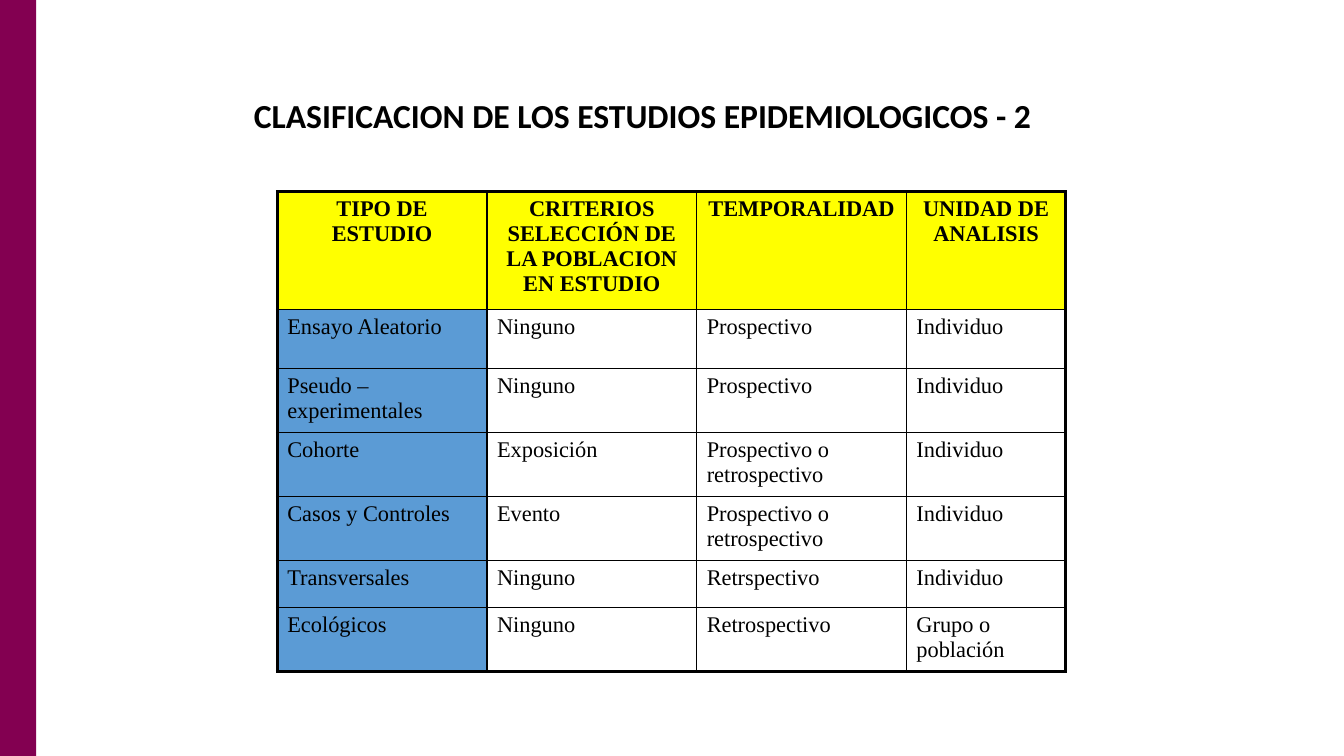
"""Builds a slide that classifies epidemiological studies in a table."""
from lxml.etree import SubElement
from pptx import Presentation
from pptx.dml.color import RGBColor
from pptx.enum.shapes import MSO_SHAPE
from pptx.enum.text import MSO_ANCHOR, PP_ALIGN
from pptx.oxml.ns import qn
from pptx.util import Inches, Pt

COLORS = {"band": "830051", "header": "FFFF00", "study": "5B9BD5", "ink": "000000"}
TITLE = "CLASIFICACION DE LOS ESTUDIOS EPIDEMIOLOGICOS - 2"
TITLE_FONT = {"name": "Calibri", "size": Pt(24), "bold": True}
HEADER_FONT = {"name": "Times New Roman", "size": Pt(16), "bold": True}
BODY_FONT = {**HEADER_FONT, "bold": False}
COLUMN_WIDTHS = [2.08, 2.08, 2.08, 1.58]
ROW_HEIGHTS = [1.17, 0.59, 0.63, 0.63, 0.63, 0.47, 0.63]
INNER_LINE, OUTER_LINE = Pt(1), Pt(2.25)
STUDIES = [
    ["TIPO DE ESTUDIO", "CRITERIOS SELECCIÓN DE LA POBLACION EN ESTUDIO",
     "TEMPORALIDAD", "UNIDAD DE ANALISIS"],
    ["Ensayo Aleatorio", "Ninguno", "Prospectivo", "Individuo"],
    ["Pseudo – experimentales", "Ninguno", "Prospectivo", "Individuo"],
    ["Cohorte", "Exposición", "Prospectivo o retrospectivo", "Individuo"],
    ["Casos y Controles", "Evento", "Prospectivo o retrospectivo", "Individuo"],
    ["Transversales", "Ninguno", "Retrspectivo", "Individuo"],
    ["Ecológicos", "Ninguno", "Retrospectivo", "Grupo o población"],
]


def color(name):
    """Return the named colour."""
    return RGBColor.from_string(COLORS[name])


def write_text(paragraph, text, font_values, alignment=PP_ALIGN.LEFT):
    """Write one formatted run into a paragraph."""
    paragraph.alignment = alignment
    run = paragraph.add_run()
    run.text = text
    for name, value in font_values.items():
        setattr(run.font, name, value)
    run.font.color.rgb = color("ink")


def add_side_band(slide, height):
    """Add the coloured band along the left edge."""
    band = slide.shapes.add_shape(MSO_SHAPE.RECTANGLE, 0, 0, Inches(0.36), height)
    band.shadow.inherit = False
    band.fill.solid()
    band.fill.fore_color.rgb = color("band")
    band.line.fill.background()


def add_title(slide):
    """Add the slide title."""
    box = slide.shapes.add_textbox(Inches(2.42), Inches(0.67), Inches(8.5), Inches(1))
    frame = box.text_frame
    frame.word_wrap = True
    frame.vertical_anchor = MSO_ANCHOR.MIDDLE
    paragraph = frame.paragraphs[0]
    paragraph.line_spacing = 0.9
    write_text(paragraph, TITLE, TITLE_FONT)


def set_borders(cell, row, column):
    """Draw the cell borders, thicker on the outside of the table."""
    on_edge = {"lnL": column == 0, "lnR": column == len(COLUMN_WIDTHS) - 1,
               "lnT": row == 0, "lnB": row == len(ROW_HEIGHTS) - 1}
    properties = cell._tc.get_or_add_tcPr()
    for side, outer in on_edge.items():
        width = OUTER_LINE if outer else INNER_LINE
        line = SubElement(properties, qn(f"a:{side}"), w=str(int(width)))
        fill = SubElement(line, qn("a:solidFill"))
        SubElement(fill, qn("a:srgbClr"), val=COLORS["ink"])


def set_fill(cell, row, column):
    """Fill header cells and study names, leave the others clear."""
    if row and column:
        cell.fill.background()
    else:
        cell.fill.solid()
        cell.fill.fore_color.rgb = color("study" if row else "header")


def add_study_table(slide):
    """Add the table of study types."""
    frame = slide.shapes.add_table(
        len(ROW_HEIGHTS), len(COLUMN_WIDTHS), Inches(2.75), Inches(1.9),
        Inches(sum(COLUMN_WIDTHS)), Inches(sum(ROW_HEIGHTS)))
    table = frame.table
    table.first_row = table.horz_banding = False
    for column, width in zip(table.columns, COLUMN_WIDTHS):
        column.width = Inches(width)
    for row, height in zip(table.rows, ROW_HEIGHTS):
        row.height = Inches(height)
    for row, texts in enumerate(STUDIES):
        font_values = BODY_FONT if row else HEADER_FONT
        alignment = PP_ALIGN.LEFT if row else PP_ALIGN.CENTER
        for column, text in enumerate(texts):
            cell = table.cell(row, column)
            set_borders(cell, row, column)
            set_fill(cell, row, column)
            write_text(cell.text_frame.paragraphs[0], text, font_values, alignment)


def main():
    """Build and save the presentation."""
    presentation = Presentation()
    presentation.slide_width = Inches(13.33)
    presentation.slide_height = Inches(7.5)
    slide = presentation.slides.add_slide(presentation.slide_layouts[6])
    add_side_band(slide, presentation.slide_height)
    add_title(slide)
    add_study_table(slide)
    presentation.save("out.pptx")


if __name__ == "__main__":
    main()
